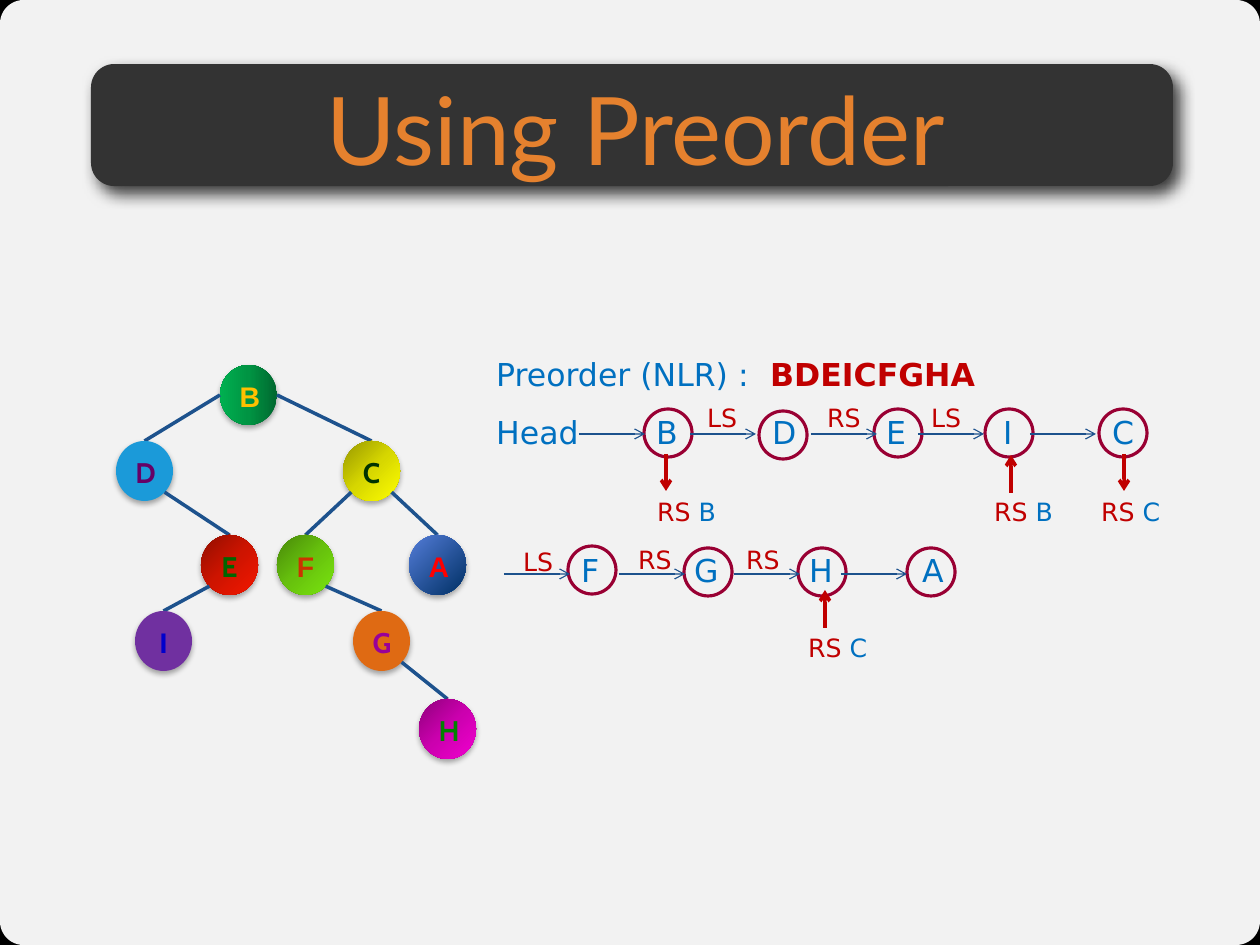
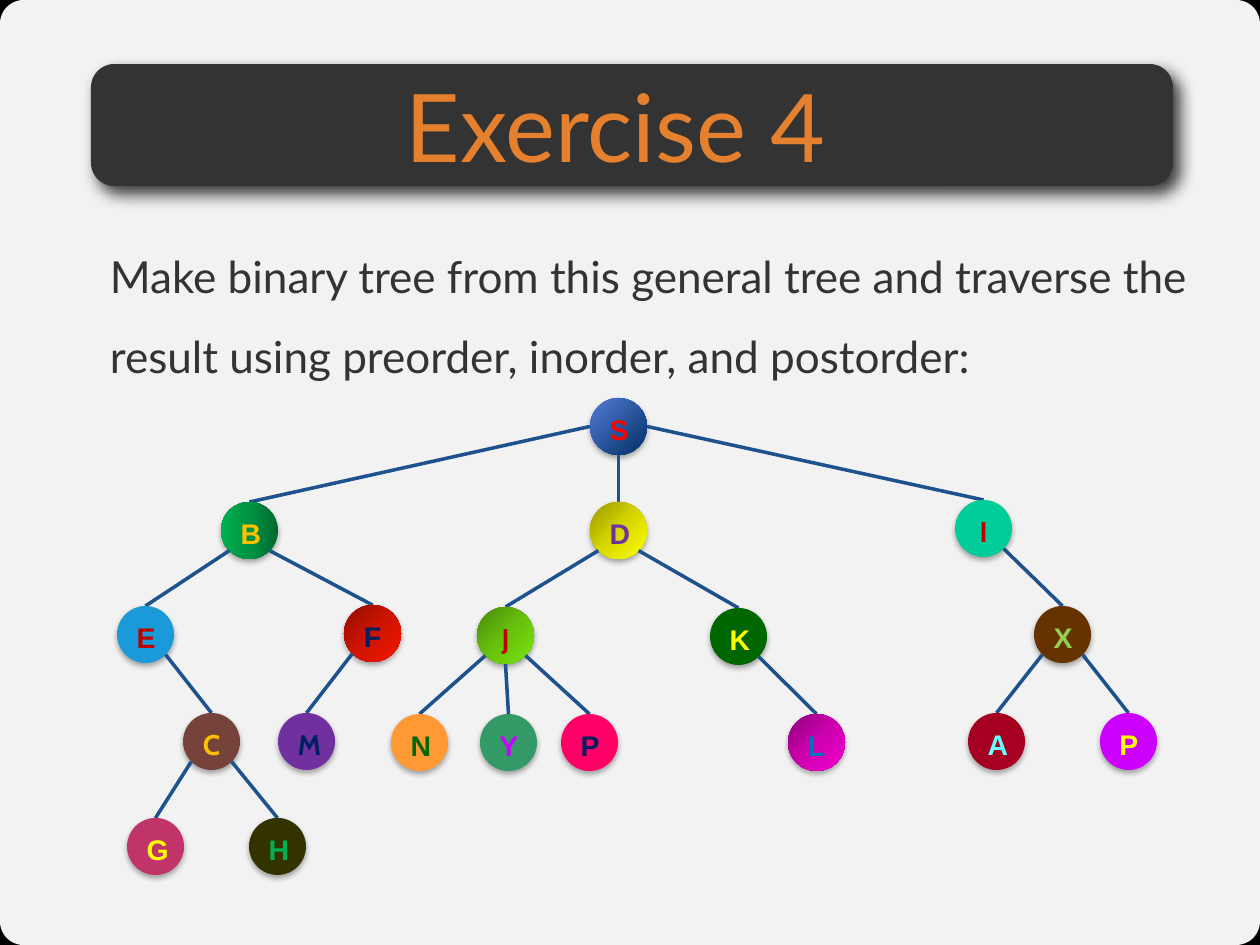
from dataclasses import dataclass
from math import cos, radians, sin

from lxml import etree
from pptx import Presentation
from pptx.dml.color import RGBColor
from pptx.enum import shapes, text
from pptx.oxml import parse_xml
from pptx.oxml.ns import nsdecls, qn
from pptx.util import Emu, Pt

SCALE = 914400 / 113.4
SLIDE_W, SLIDE_H = 1260, 945
RING = 48
LINK_LENGTH = 66
SITE_ANGLES = {"right": 0, "bottom right": 45, "bottom": 90, "bottom left": 135, "left": 180}


@dataclass(frozen=True)
class Theme:
    backdrop: str = "000000"
    sheet: str = "FFFFFF"
    band: str = "333333"
    title: str = "E5812E"
    body: str = "333333"
    edge: str = "1D528D"
    label: str = "0070C0"
    accent: str = "C00000"
    ring: str = "990033"
    heading_font: str = "Lato"
    list_font: str = "DejaVu Sans"
    title_size: int = 60
    body_size: int = 28
    list_size: int = 20
    node_size: int = 18
    sibling_size: int = 16
    band_shadow: tuple = (75, 10, 6, 51)
    node_shadow: tuple = (32, 3.5, 2.2, 90)


THEME = Theme()
BLUE = (45, "547DD8", "003065")
GREEN = (180, "00682F", "009443", "00B050")
MAGENTA = (45, "8F007B", "CC00AF", "F200CF")
YELLOW = (45, "979700", "D7D700", "FFFF00")
RED = (45, "910E00", "CE1400", "F41700")
LIME = (45, "488809", "67C10D", "7AE50F")


@dataclass(frozen=True)
class Node:
    letter: str
    left: int
    top: int
    fill: object
    color: str
    font: str = "Arial"
    site: str = ""
    children: tuple = ()


BINARY_TREE = Node("B", 220, 365, GREEN, "FFC000", children=(
    Node("D", 116, 441, "1B9AD9", "660066", "Cabin", "left", (
        Node("E", 201, 535, RED, "006600", "Cabin", "bottom right", (
            Node("I", 135, 611, "7030A0", "0000CC", "Arial", "bottom left"),)),)),
    Node("C", 343, 441, YELLOW, "003300", "Cabin", "right", (
        Node("F", 277, 535, LIME, "CC3300", "Arial", "bottom left", (
            Node("G", 353, 611, "DF6A13", "990099", "Cabin", "bottom right", (
                Node("H", 419, 699, MAGENTA, "008000", "Cabin", "bottom right"),)),)),
        Node("A", 409, 535, BLUE, "FF0000", "Arial", "bottom right")))))

GENERAL_TREE = Node("S", 590, 398, BLUE, "FF0000", children=(
    Node("B", 221, 502, GREEN, "FFC000", "Arial", "left", (
        Node("E", 117, 606, "1B9AD9", "C00000", "Arial", "bottom left", (
            Node("C", 183, 713, "76433A", "FFC000", "Cabin", "bottom right", (
                Node("G", 127, 818, "C03469", "FFFF00", "Arial", "bottom left"),
                Node("H", 249, 818, "333300", "00B050", "Arial", "bottom right"))),)),
        Node("F", 344, 605, RED, "002060", "Arial", "bottom right", (
            Node("M", 278, 713, "7030A0", "002060", "Cabin", "bottom left"),)))),
    Node("D", 590, 502, YELLOW, "7030A0", "Arial", "bottom", (
        Node("J", 477, 607, LIME, "C00000", "Cabin", "bottom left", (
            Node("N", 391, 714, "FF9933", "006600", "Arial", "bottom left"),
            Node("Y", 480, 714, "339966", "CC00FF", "Arial", "bottom"),
            Node("P", 561, 714, "FF0066", "002060", "Arial", "bottom right"))),
        Node("K", 710, 608, "006600", "FFFF00", "Arial", "bottom right", (
            Node("L", 788, 714, MAGENTA, "0070C0", "Arial", "bottom right"),)))),
    Node("I", 955, 500, "00CC99", "C00000", "Cabin", "right", (
        Node("X", 1034, 606, "663300", "92D050", "Arial", "bottom right", (
            Node("A", 968, 713, "A50021", "66FFFF", "Arial", "bottom left"),
            Node("P", 1100, 713, "CC00FF", "FFFF00", "Arial", "bottom right"))),))))


def px(*lengths):
    return [Emu(round(length * SCALE)) for length in lengths]


def rgb(value):
    return RGBColor.from_string(value)


def style(run, size, color, font, bold=False):
    run.font.size = Pt(size)
    run.font.color.rgb = rgb(color)
    run.font.name = font
    run.font.bold = bold


def paint(shape, fill):
    if fill is None:
        shape.fill.background()
    elif isinstance(fill, str):
        shape.fill.solid()
        shape.fill.fore_color.rgb = rgb(fill)
    else:
        angle, *colors = fill
        shape.fill.background()
        stops = "".join(
            f'<a:gs pos="{100000 * i // (len(colors) - 1)}"><a:srgbClr val="{color}"/></a:gs>'
            for i, color in enumerate(colors))
        gradient = parse_xml(
            f'<a:gradFill {nsdecls("a")} rotWithShape="1"><a:gsLst>{stops}</a:gsLst>'
            f'<a:lin ang="{angle * 60000}" scaled="0"/></a:gradFill>')
        properties = shape.element.spPr
        properties.replace(properties.find(qn("a:noFill")), gradient)


def add_form(slide, preset, box, fill, shadow=None):
    form = slide.shapes.add_shape(preset, *px(*box))
    paint(form, fill)
    form.line.fill.background()
    form.shadow.inherit = False
    if shadow:
        alpha, blur, distance, angle = shadow
        form.element.spPr.find(qn("a:effectLst")).append(parse_xml(
            f'<a:outerShdw {nsdecls("a")} blurRad="{Pt(blur)}" dist="{Pt(distance)}" '
            f'dir="{angle * 60000}" algn="ctr" rotWithShape="0"><a:srgbClr val="000000">'
            f'<a:alpha val="{alpha * 1000}"/></a:srgbClr></a:outerShdw>'))
    return form


def add_line(slide, start, end, color, width, arrow=False):
    line = slide.shapes.add_connector(shapes.MSO_CONNECTOR.STRAIGHT, *px(*start, *end))
    line.line.color.rgb = rgb(color)
    line.line.width = Pt(width)
    properties = line.element.spPr
    if arrow:
        etree.SubElement(properties.find(qn("a:ln")), qn("a:tailEnd"), type="arrow")
    etree.SubElement(properties, qn("a:effectLst"))


def add_words(slide, box, words, size, color, font):
    area = slide.shapes.add_textbox(*px(*box))
    frame = area.text_frame
    frame.word_wrap = True
    frame.text = words
    style(frame.paragraphs[0].runs[0], size, color, font)
    return frame


def clear_margins(frame):
    frame.margin_left = frame.margin_right = frame.margin_top = frame.margin_bottom = 0


def add_label(slide, left, top, width, words, color=THEME.label, size=THEME.list_size):
    height = 50 if size == THEME.list_size else 42
    frame = add_words(slide, (left, top, width, height), words, size, color, THEME.list_font)
    frame.auto_size = text.MSO_AUTO_SIZE.SHAPE_TO_FIT_TEXT
    return frame.paragraphs[0]


def add_base(deck, title, title_left, title_top):
    slide = deck.slides.add_slide(deck.slide_layouts[6])
    slide.background.fill.solid()
    slide.background.fill.fore_color.rgb = rgb(THEME.backdrop)
    rounded = shapes.MSO_SHAPE.ROUNDED_RECTANGLE
    sheet = add_form(slide, rounded, (0, 0, SLIDE_W, SLIDE_H), THEME.sheet)
    sheet.adjustments[0] = 0.025
    sheet_color = sheet.element.spPr.find(qn("a:solidFill"))[0]
    etree.SubElement(sheet_color, qn("a:alpha"), val="95000")
    band = add_form(slide, rounded, (91, 64, 1082, 122), THEME.band, THEME.band_shadow)
    band.adjustments[0] = 0.19
    heading = add_words(slide, (title_left, title_top, 1077, 113), title,
                        THEME.title_size, THEME.title, THEME.heading_font)
    clear_margins(heading)
    heading.vertical_anchor = text.MSO_ANCHOR.MIDDLE
    heading.paragraphs[0].alignment = text.PP_ALIGN.CENTER
    return slide


def site_point(node, site, width, height):
    angle = radians(SITE_ANGLES[site])
    return (node.left + width / 2 * (1 + cos(angle)),
            node.top + height / 2 * (1 + sin(angle)))


def add_tree(slide, node, width, height):
    ball = add_form(slide, shapes.MSO_SHAPE.OVAL, (node.left, node.top, width, height),
                    node.fill, THEME.node_shadow)
    frame = ball.text_frame
    frame.text = node.letter
    frame.vertical_anchor = text.MSO_ANCHOR.TOP
    frame.paragraphs[0].alignment = text.PP_ALIGN.CENTER
    style(frame.paragraphs[0].runs[0], THEME.node_size, node.color, node.font, True)
    for child in node.children:
        add_line(slide, site_point(node, child.site, width, height),
                 (child.left + width / 2, child.top), THEME.edge, 2.25)
        add_tree(slide, child, width, height)


def add_link(slide, letter, letter_left, letter_top, ring_left, ring_top):
    add_label(slide, letter_left, letter_top, 48, letter)
    ring = add_form(slide, shapes.MSO_SHAPE.OVAL, (ring_left, ring_top, RING, RING), None)
    ring.line.color.rgb = rgb(THEME.ring)
    ring.line.width = Pt(2)


def add_sibling(slide, left, top, letter, start, end):
    add_line(slide, start, end, THEME.accent, 2.25, True)
    note = add_label(slide, left, top, 113, "RS ", THEME.accent, THEME.sibling_size)
    parent = note.add_run()
    parent.text = letter
    style(parent, THEME.sibling_size, THEME.label, THEME.list_font)


def add_preorder_list(slide):
    add_label(slide, 485, 349, 292, "Preorder (NLR) :")
    order = add_label(slide, 759, 349, 321, "BDEICFGHA", THEME.accent)
    order.runs[0].font.bold = True
    add_label(slide, 485, 407, 113, "Head")
    for letter, letter_left, letter_top, ring_left, ring_top in (
            ("B", 645, 407, 644, 409), ("D", 761, 407, 759, 411),
            ("E", 875, 407, 874, 409), ("I", 992, 407, 985, 409),
            ("C", 1101, 407, 1099, 409), ("F", 570, 545, 568, 546),
            ("G", 683, 545, 684, 548), ("H", 798, 545, 798, 548),
            ("A", 911, 545, 907, 548)):
        add_link(slide, letter, letter_left, letter_top, ring_left, ring_top)
    for y, starts in ((434, (579, 690, 811, 918, 1030)), (574, (504, 619, 734, 841))):
        for x in starts:
            add_line(slide, (x, y), (x + LINK_LENGTH, y), THEME.edge, 0.75, True)
    for kind, left, top in (("LS", 696, 397), ("RS", 816, 397), ("LS", 920, 397),
                            ("LS", 512, 541), ("RS", 627, 539), ("RS", 735, 539)):
        width = 57 if kind == "LS" else 66
        add_label(slide, left, top, width, kind, THEME.accent, THEME.sibling_size)
    for left, top, letter, start, end in (
            (646, 491, "B", (666, 454), (666, 491)),
            (983, 491, "B", (1011, 493), (1011, 455)),
            (1090, 491, "C", (1124, 454), (1124, 491)),
            (797, 627, "C", (825, 628), (825, 590))):
        add_sibling(slide, left, top, letter, start, end)


def build_preorder(deck):
    slide = add_base(deck, "Using Preorder", 97, 71)
    add_tree(slide, BINARY_TREE, 57, 60)
    add_preorder_list(slide)


def build_exercise(deck):
    slide = add_base(deck, "Exercise 4", 77, 68)
    task = add_words(
        slide, (110, 223, 1084, 634),
        "Make binary tree from this general tree and traverse the result using "
        "preorder, inorder, and postorder:",
        THEME.body_size, THEME.body, THEME.heading_font)
    clear_margins(task)
    task.paragraphs[0].line_spacing = 1.5
    add_tree(slide, GENERAL_TREE, 57, 57)


def main():
    deck = Presentation()
    deck.slide_width, deck.slide_height = px(SLIDE_W, SLIDE_H)
    build_preorder(deck)
    build_exercise(deck)
    deck.save("out.pptx")


main()
